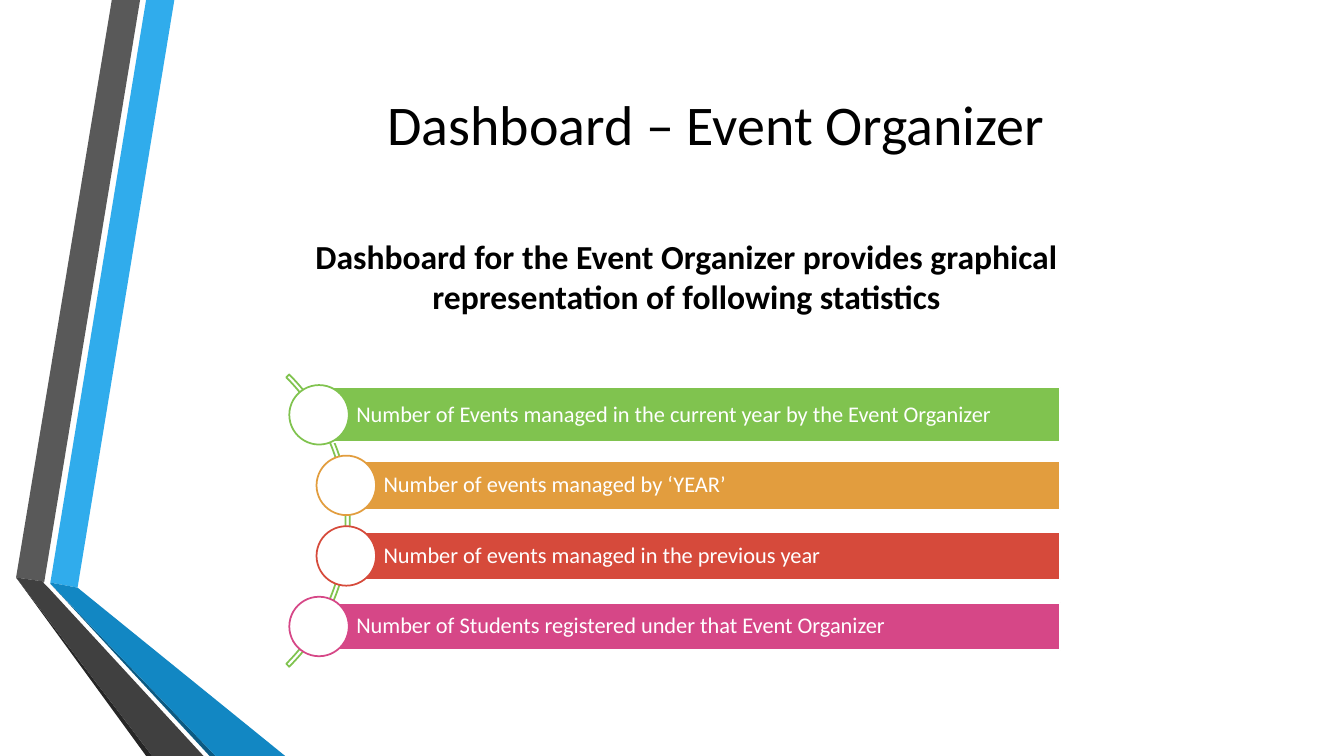
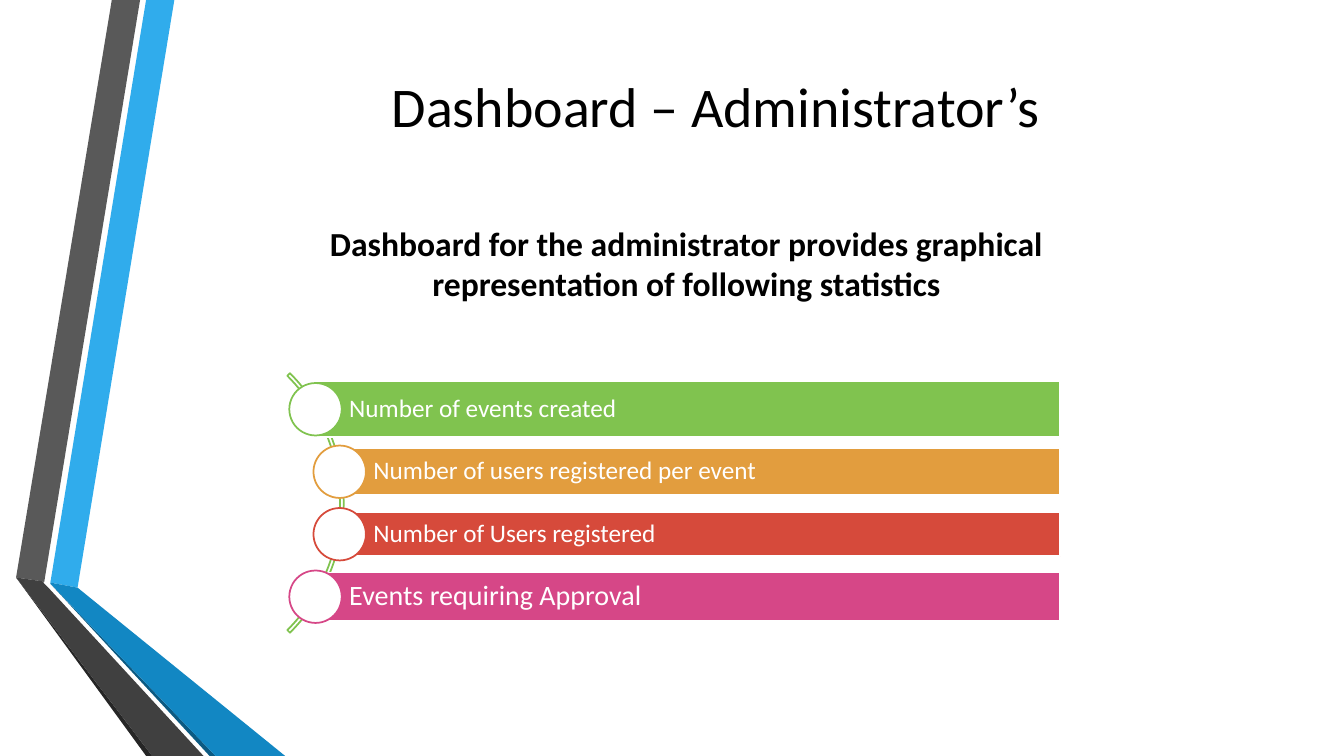
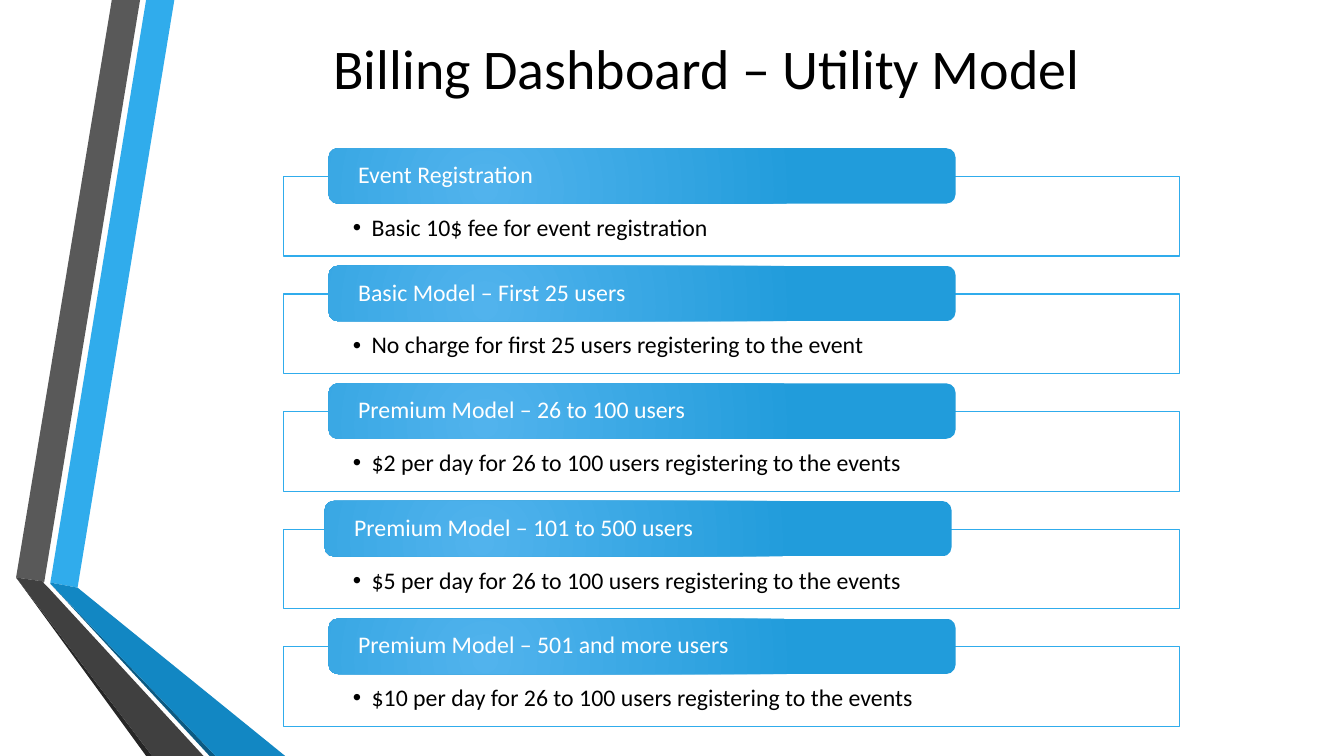
from lxml.etree import SubElement as Sub
from pptx import Presentation
from pptx.dml.color import RGBColor as Rgb
from pptx.enum.shapes import MSO_SHAPE as Kind
from pptx.enum.text import MSO_ANCHOR as Anchor, PP_ALIGN as Align
from pptx.oxml.ns import qn
from pptx.util import Emu, Pt

COLS, ROWS = 80, 45
CELL = 152400
HEX = {
    "black": "000000", "white": "FFFFFF", "sky": "30ACEC", "navy": "0C5A82",
    "blue": "1287C3", "gray": "595959", "coal": "404040", "ink": "262626",
    "light": "51B3ED", "deep": "219CDB", "green": "80C34F", "gold": "E29D3E",
    "red": "D64A3B", "pink": "D64787",
}
HUES = ("green", "gold", "red", "pink")
BANDS = (
    ("sky", [(3, 34.68), (4.62, 34.98), (10.38, 0), (8.7, 0)]),
    ("gray", [(8.34, 0), (6.66, 0), (0.96, 34.38), (2.64, 34.62)]),
    ("ink", [(0.96, 34.38), (8.7, 45), (9.06, 45)]),
    ("navy", [(3, 34.74), (12.48, 45), (12.84, 45)]),
    ("blue", [(3, 34.74), (12.84, 45), (16.98, 45), (4.62, 34.98), (3, 34.68)]),
    ("coal", [(12.12, 45), (2.88, 34.98), (2.58, 34.68), (2.64, 34.62),
              (0.96, 34.38), (9.06, 45)]),
)
TITLE = {"size": Pt(40), "bold": False}
LEAD = {"size": Pt(24), "bold": True}
STATS = (
    {"title": "Dashboard – Event Organizer", "top": 1.56, "lead_top": 13.74,
     "lead": "Dashboard for the Event Organizer provides graphical "
             "representation of following statistics",
     "first": 22.92, "dot": 3.54, "step": 4.2, "shift": 1.62,
     "arc": (-3.78, 24.6),
     "bars": (("Number of Events managed in the current year by the Event Organizer", 3.24, 16),
              ("Number of events managed by ‘YEAR’", 2.88, 16),
              ("Number of events managed in the previous year", 2.82, 16),
              ("Number of Students registered under that Event Organizer", 2.82, 16))},
    {"title": "Dashboard – Administrator’s", "top": 0.48, "lead_top": 12.96,
     "lead": "Dashboard for the administrator provides graphical "
             "representation of following statistics",
     "first": 22.8, "dot": 3.12, "step": 3.72, "shift": 1.44,
     "arc": (-1.38, 21.84),
     "bars": (("Number of events created", 3.3, 18),
              ("Number of users registered per event", 2.76, 18),
              ("Number of Users registered", 2.64, 18),
              ("Events requiring Approval", 2.88, 20))},
)
PLANS = (
    ("Event Registration", "Basic 10$ fee for event registration", 0),
    ("Basic Model – First 25 users",
     "No charge for first 25 users registering to the event", 0),
    ("Premium Model – 26 to 100 users",
     "$2 per day for 26 to 100 users registering to the events", 0),
    ("Premium Model – 101 to 500 users",
     "$5 per day for 26 to 100 users registering to the events", -0.24),
    ("Premium Model – 501 and more users",
     "$10 per day for 26 to 100 users registering to the events", 0),
)


def grid(*cells):
    """Turn grid cells into slide lengths."""
    return [Emu(round(cell * CELL)) for cell in cells]


def tint(name):
    """Look up a colour by name."""
    return Rgb.from_string(HEX[name])


def paint(shape, fill=None, line=None, width=1.25):
    """Set fill and outline, and drop the shadow."""
    shape.shadow.inherit = False
    if fill:
        shape.fill.solid()
        shape.fill.fore_color.rgb = tint(fill)
    else:
        shape.fill.background()
    if line:
        shape.line.color.rgb = tint(line)
        shape.line.width = Pt(width)
    else:
        shape.line.fill.background()
    return shape


def block(slide, kind, box, **look):
    """Add a painted preset shape."""
    return paint(slide.shapes.add_shape(kind, *grid(*box)), **look)


def write(shape, words, style, hue="black", align=Align.LEFT,
          anchor=Anchor.MIDDLE, pad=None, lead=1.0):
    """Write one paragraph into a shape."""
    frame = shape.text_frame
    frame.word_wrap = True
    frame.vertical_anchor = anchor
    if pad:
        sides = ("left", "top", "right", "bottom")
        for side, gap in zip(sides, grid(*pad)):
            setattr(frame, f"margin_{side}", gap)
    para = frame.paragraphs[0]
    para.alignment, para.line_spacing = align, lead
    run = para.add_run()
    run.text = words
    for key, value in {"name": "Calibri", **style}.items():
        setattr(run.font, key, value)
    run.font.color.rgb = tint(hue)
    return para


def label(slide, words, box, style, anchor=Anchor.MIDDLE):
    """Add a centred text box."""
    write(slide.shapes.add_textbox(*grid(*box)), words, style,
          align=Align.CENTER, anchor=anchor)


def bullet(para):
    """Give a paragraph a hanging bullet."""
    props = para._p.get_or_add_pPr()
    props.set("marL", str(grid(1.12)[0]))
    props.set("indent", str(grid(-1.12)[0]))
    Sub(props, qn("a:buFont"), typeface="Arial")
    Sub(props, qn("a:buChar"), char="•")


def fade(shape):
    """Fill a shape with a round blue gradient."""
    shape.fill.gradient()
    for stop, name, place in zip(shape.fill.gradient_stops, ("light", "deep"), (0, 1)):
        stop.color.rgb = tint(name)
        stop.position = place
    grad = shape.element.spPr.find(qn("a:gradFill"))
    grad.remove(grad.find(qn("a:lin")))
    ring = Sub(grad, qn("a:path"), path="circle")
    Sub(ring, qn("a:fillToRect"), l="50000", t="100000", r="100000", b="50000")


def ribbon(slide, layout):
    """Draw the folded bands and move them to the layout."""
    for hue, spots in BANDS:
        first, *rest = [grid(*spot) for spot in spots]
        pen = slide.shapes.build_freeform(*first)
        pen.add_line_segments(rest)
        band = paint(pen.convert_to_shape(), hue)
        layout.shapes.element.append(band.element)


def stats(slide, data):
    """Build a slide with bars along an arc."""
    label(slide, data["title"], (9.72, data["top"], 65.76, 11.52), TITLE)
    label(slide, data["lead"], (13.98, data["lead_top"], 53.76, 5.46), LEAD, Anchor.TOP)
    dot, step = data["dot"], data["step"]
    start = data["first"] + dot / 2
    left, span = data["arc"]
    mid = start + step * (len(HUES) - 1) / 2
    arc = block(slide, Kind.BLOCK_ARC, (left, mid - span / 2, span, span), line="green")
    for slot, value in enumerate((189, 27, 0.01)):
        arc.adjustments[slot] = value
    for row, (hue, (words, high, size)) in enumerate(zip(HUES, data["bars"])):
        x = 17.22 + dot / 2 + data["shift"] * (row in (1, 2))
        y = start + step * row
        bar = block(slide, Kind.RECTANGLE, (x, y - high / 2, 63.1 - x, high),
                    fill=hue, line="white")
        write(bar, words, {"size": Pt(size)}, "white",
              pad=(dot / 2 + 0.45, 0.3, 0.3, 0.3), lead=0.9)
        block(slide, Kind.OVAL, (x - dot / 2, y - dot / 2, dot, dot),
              fill="white", line=hue)


def plan(slide, row, name, fee, nudge):
    """Add one framed price with its tab."""
    y = 10.5 + 7 * row
    style = {"size": Pt(17)}
    frame = block(slide, Kind.RECTANGLE, (16.86, y, 53.34, 4.74),
                  fill="white", line="sky", width=0.75)
    shade = frame.element.spPr.find(qn("a:solidFill"))[0]
    Sub(shade, qn("a:alpha"), val="90000")
    bullet(write(frame, fee, style, anchor=Anchor.TOP,
                 pad=(4.14, 2.34, 4.14, 0.78), lead=0.9))
    tab = block(slide, Kind.ROUNDED_RECTANGLE, (19.56 + nudge, y - 1.68, 37.32, 3.3))
    fade(tab)
    write(tab, name, style, "white", pad=(1.6, 0, 1.6, 0), lead=0.9)


def main():
    """Build and save the slides."""
    deck = Presentation()
    deck.slide_width, deck.slide_height = grid(COLS, ROWS)
    blank = deck.slide_layouts[6]
    pages = [deck.slides.add_slide(blank) for _ in range(3)]
    ribbon(pages[0], blank)
    for page, data in zip(pages, STATS):
        stats(page, data)
    label(pages[2], "Billing Dashboard – Utility Model", (9.18, 1.62, 65.76, 4.74), TITLE)
    for row, (name, fee, nudge) in enumerate(PLANS):
        plan(pages[2], row, name, fee, nudge)
    deck.save("out.pptx")


if __name__ == "__main__":
    main()
